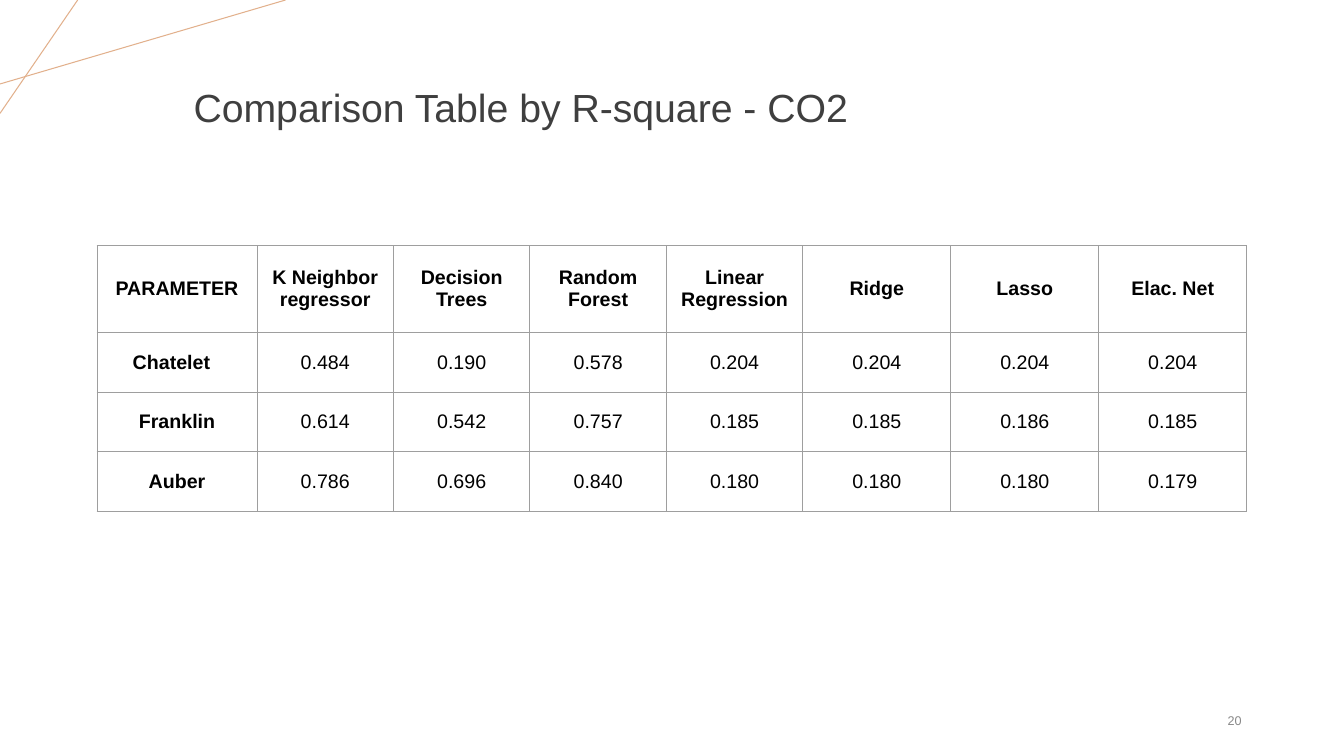
from lxml import etree
from pptx import Presentation
from pptx.dml.color import RGBColor
from pptx.enum.shapes import MSO_CONNECTOR
from pptx.enum.text import MSO_ANCHOR, MSO_AUTO_SIZE, PP_ALIGN
from pptx.oxml.ns import qn
from pptx.util import Pt

STRAIGHT = MSO_CONNECTOR.STRAIGHT
MIDDLE = MSO_ANCHOR.MIDDLE
CENTER, RIGHT = PP_ALIGN.CENTER, PP_ALIGN.RIGHT
NO_AUTOFIT = MSO_AUTO_SIZE.NONE
TITLE_ONLY = 5

FONT = "Arial"
COLORS = {
    "accent": "E2B08C",
    "title": "3F3F3F",
    "number": "888888",
    "border": "9E9E9E",
    "text": "000000",
}

ACCENT_LINES = [((0, 60), (204, 0)), ((55.5, 0), (0, 81))]

SCORES = [
    ["PARAMETER", "K Neighbor regressor", "Decision Trees", "Random Forest",
     "Linear Regression", "Ridge", "Lasso", "Elac. Net"],
    ["Chatelet", "0.484", "0.190", "0.578", "0.204", "0.204", "0.204", "0.204"],
    ["Franklin", "0.614", "0.542", "0.757", "0.185", "0.185", "0.186", "0.185"],
    ["Auber", "0.786", "0.696", "0.840", "0.180", "0.180", "0.180", "0.179"],
]
COLUMN_WIDTHS = [114.2] + [97.5] * 4 + [105.7] * 3
ROW_HEIGHTS = [62] + [42.6] * 3
CELL_MARGIN = 7.2
CHATELET_INDENT = 8


def set_values(target, values):
    for name, value in values.items():
        setattr(target, name, value)


def write_text(frame, text, size, color, alignment, bold=False):
    paragraph = frame.paragraphs[0]
    paragraph.alignment = alignment
    run = paragraph.add_run()
    run.text = text
    set_values(run.font, {"name": FONT, "size": Pt(size), "bold": bold})
    run.font.color.rgb = RGBColor.from_string(COLORS[color])
    return paragraph


def format_frame(frame):
    set_values(frame, {
        "word_wrap": True, "auto_size": NO_AUTOFIT, "vertical_anchor": MIDDLE,
        "margin_left": Pt(7.2), "margin_right": Pt(7.2),
        "margin_top": Pt(3.6), "margin_bottom": Pt(3.6),
    })


def add_accent_line(slide, start, end):
    line = slide.shapes.add_connector(
        STRAIGHT, *(Pt(value) for value in start + end))
    line.line.color.rgb = RGBColor.from_string(COLORS["accent"])
    line.line.width = Pt(0.75)
    etree.SubElement(line._element.spPr, qn("a:effectLst"))


def add_title(slide, text):
    title = slide.shapes.title
    set_values(title, {"left": Pt(111.6), "top": Pt(26),
                       "width": Pt(520.6), "height": Pt(104.4)})
    format_frame(title.text_frame)
    paragraph = write_text(title.text_frame, text, 28, "title", CENTER)
    paragraph.line_spacing = 0.9


def add_slide_number(slide, text):
    box = slide.shapes.add_textbox(Pt(678), Pt(500.4), Pt(216), Pt(28.8))
    format_frame(box.text_frame)
    write_text(box.text_frame, text, 9, "number", RIGHT)


def add_borders(cell):
    properties = cell._tc.get_or_add_tcPr()
    for side in ("a:lnL", "a:lnR", "a:lnT", "a:lnB"):
        border = etree.SubElement(properties, qn(side), w=str(Pt(0.75)))
        fill = etree.SubElement(border, qn("a:solidFill"))
        etree.SubElement(fill, qn("a:srgbClr"), val=COLORS["border"])


def add_score_table(slide, left, top):
    table = slide.shapes.add_table(
        len(SCORES), len(SCORES[0]), Pt(left), Pt(top),
        Pt(sum(COLUMN_WIDTHS)), Pt(sum(ROW_HEIGHTS))).table
    set_values(table, {"first_row": False, "horz_banding": False})
    for column, width in zip(table.columns, COLUMN_WIDTHS):
        column.width = Pt(width)
    for row, height in zip(table.rows, ROW_HEIGHTS):
        row.height = Pt(height)

    for row_index, row_values in enumerate(SCORES):
        for column_index, text in enumerate(row_values):
            cell = table.cell(row_index, column_index)
            set_values(cell, {"vertical_anchor": MIDDLE} | {
                f"margin_{side}": Pt(CELL_MARGIN)
                for side in ("left", "right", "top", "bottom")})
            add_borders(cell)
            cell.fill.background()
            is_heading = row_index == 0 or column_index == 0
            write_text(cell.text_frame, text, 14, "text", CENTER, is_heading)

    # The first station name sits slightly left of centre
    table.cell(1, 0).margin_right = Pt(CELL_MARGIN + CHATELET_INDENT)


def main():
    presentation = Presentation()
    presentation.slide_width, presentation.slide_height = Pt(960), Pt(540)
    slide = presentation.slides.add_slide(presentation.slide_layouts[TITLE_ONLY])

    # Corner decoration
    for start, end in ACCENT_LINES:
        add_accent_line(slide, start, end)

    # Heading, page number and scores
    add_slide_number(slide, "20")
    add_title(slide, "Comparison Table by R-square - CO2")
    add_score_table(slide, 69.4, 175.5)

    presentation.save("out.pptx")


if __name__ == "__main__":
    main()
